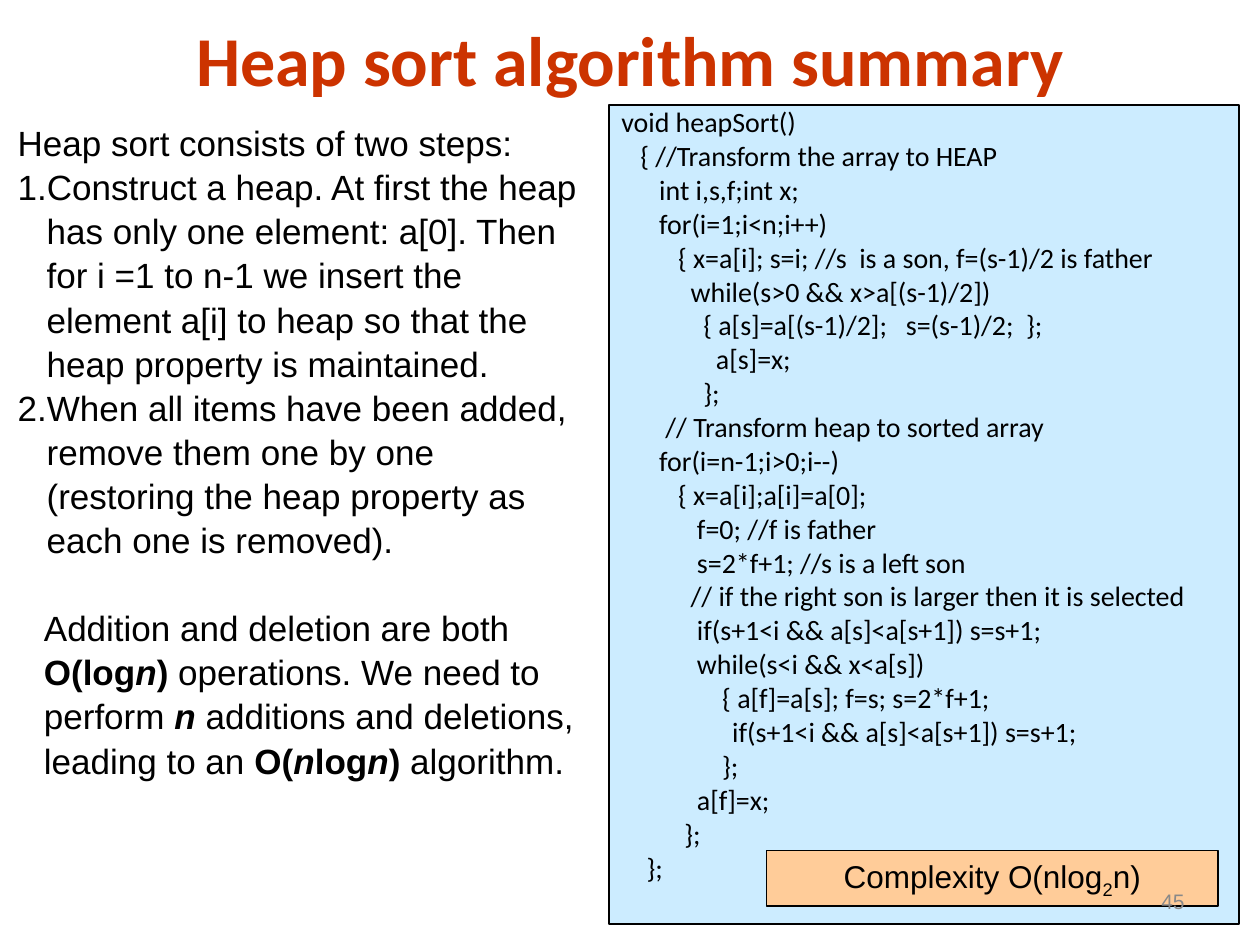
"""Build the heap sort summary slide."""
from pptx import Presentation as Deck
from pptx.dml.color import RGBColor as Rgb
from pptx.enum.shapes import MSO_SHAPE as Kind
from pptx.enum.text import MSO_ANCHOR as Anchor, PP_ALIGN as Align
from pptx.util import Inches, Pt

HUES = {"ink": "000000", "title": "CC3300", "code": "CCECFF",
        "cost": "FFCC99", "page": "898989"}
COLS, ROWS = 120, 90
WIDE, HIGH = 10, 7.5

CODE = """void heapSort()
   { //Transform the array to HEAP
      int i,s,f;int x;
      for(i=1;i<n;i++)
         { x=a[i]; s=i; //s  is a son, f=(s-1)/2 is father
           while(s>0 && x>a[(s-1)/2])
             { a[s]=a[(s-1)/2];   s=(s-1)/2;  };
               a[s]=x;
             };
       // Transform heap to sorted array
      for(i=n-1;i>0;i--)
         { x=a[i];a[i]=a[0];
            f=0; //f is father
            s=2*f+1; //s is a left son
           // if the right son is larger then it is selected
            if(s+1<i && a[s]<a[s+1]) s=s+1;
            while(s<i && x<a[s])
                { a[f]=a[s]; f=s; s=2*f+1;
\t          if(s+1<i && a[s]<a[s+1]) s=s+1;
                };
            a[f]=x;
          };
    };"""

STEPS = [
    "Heap sort consists of two steps:",
    "1.Construct a heap. At first the heap has only one element: a[0]. "
    "Then for i =1 to n-1 we insert the element a[i] to heap so that "
    "the heap property is maintained.",
    "2.When all items have been added, remove them one by one "
    "(restoring the heap property as each one is removed).",
]

CLOSING = [
    ("Addition and deletion are both ", ""), ("O(log", "b"), ("n", "bi"),
    (")", "b"), (" operations. We need to perform ", ""), ("n", "bi"),
    (" additions and deletions, leading to an ", ""), ("O(", "b"),
    ("n", "bi"), ("log", "b"), ("n", "bi"), (")", "b"), (" algorithm.", ""),
]


def hue(name):
    """Return the named colour."""
    return Rgb.from_string(HUES[name])


def place(col, row, cols, rows):
    """Turn grid cells into left, top, width and height."""
    x, y = WIDE / COLS, HIGH / ROWS
    return [Inches(v) for v in (col * x, row * y, cols * x, rows * y)]


def text(slide, cell, anchor=Anchor.TOP):
    """Add a wrapping text box and return its frame."""
    frame = slide.shapes.add_textbox(*place(*cell)).text_frame
    frame.word_wrap = True
    frame.vertical_anchor = anchor
    return frame


def panel(slide, cell, fill):
    """Add a filled, outlined rectangle and return its frame."""
    box = slide.shapes.add_shape(Kind.RECTANGLE, *place(*cell))
    box.shadow.inherit = False
    box.fill.solid()
    box.fill.fore_color.rgb = hue(fill)
    box.line.color.rgb = hue("ink")
    box.line.width = Pt(0.75)
    frame = box.text_frame
    frame.word_wrap = True
    frame.vertical_anchor = Anchor.TOP
    return frame


def write(frame, paras, size, face="Arial", tint="ink", align=Align.LEFT,
          lead=1.0, gap=0, hang=0):
    """Fill a frame with paragraphs made of (words, style) runs."""
    for k, runs in enumerate(paras):
        para = frame.add_paragraph() if k else frame.paragraphs[0]
        para.alignment = align
        para.line_spacing = lead
        para.space_before = Pt(gap if k else 0)
        if hang:
            props = para._p.get_or_add_pPr()
            props.set("marL", str(Inches(hang)))
            props.set("indent", str(-Inches(hang)))
        for words, style in runs:
            run = para.add_run()
            run.text = words
            font = run.font
            font.name, font.size = face, Pt(size)
            font.color.rgb = hue(tint)
            font.bold, font.italic = "b" in style, "i" in style
            if "s" in style:
                run._r.get_or_add_rPr().set("baseline", "-25000")


def plain(lines):
    """Make each line a paragraph of one unstyled run."""
    return [[(line, "")] for line in lines]


def main():
    """Build and save the slide."""
    deck = Deck()
    deck.slide_width, deck.slide_height = Inches(WIDE), Inches(HIGH)
    slide = deck.slides.add_slide(deck.slide_layouts[6])

    write(panel(slide, (58, 10, 60, 78), "code"), plain(CODE.split("\n")),
          16, "Calibri", lead=0.8, gap=4, hang=0.38)
    write(text(slide, (6, 1, 108, 9.2), Anchor.MIDDLE),
          [[("Heap sort algorithm summary", "b")]],
          40, "Calibri", "title", Align.CENTER)
    write(panel(slide, (73, 81, 43, 5.3), "cost"),
          [[("Complexity O(nlog", ""), ("2", "s"), ("n)", "")]],
          18, align=Align.CENTER)

    steps = text(slide, (0.5, 10.8, 58.4, 43.2))
    steps.margin_right = Inches(0.29)
    write(steps, plain(STEPS), 20, lead=1.05, hang=0.23)
    write(text(slide, (3, 57, 56, 18)), [CLOSING], 20, lead=1.05)
    write(text(slide, (86, 83.4, 28, 4.8), Anchor.MIDDLE), plain(["45"]),
          12, tint="page", align=Align.RIGHT)
    deck.save("out.pptx")


if __name__ == "__main__":
    main()
